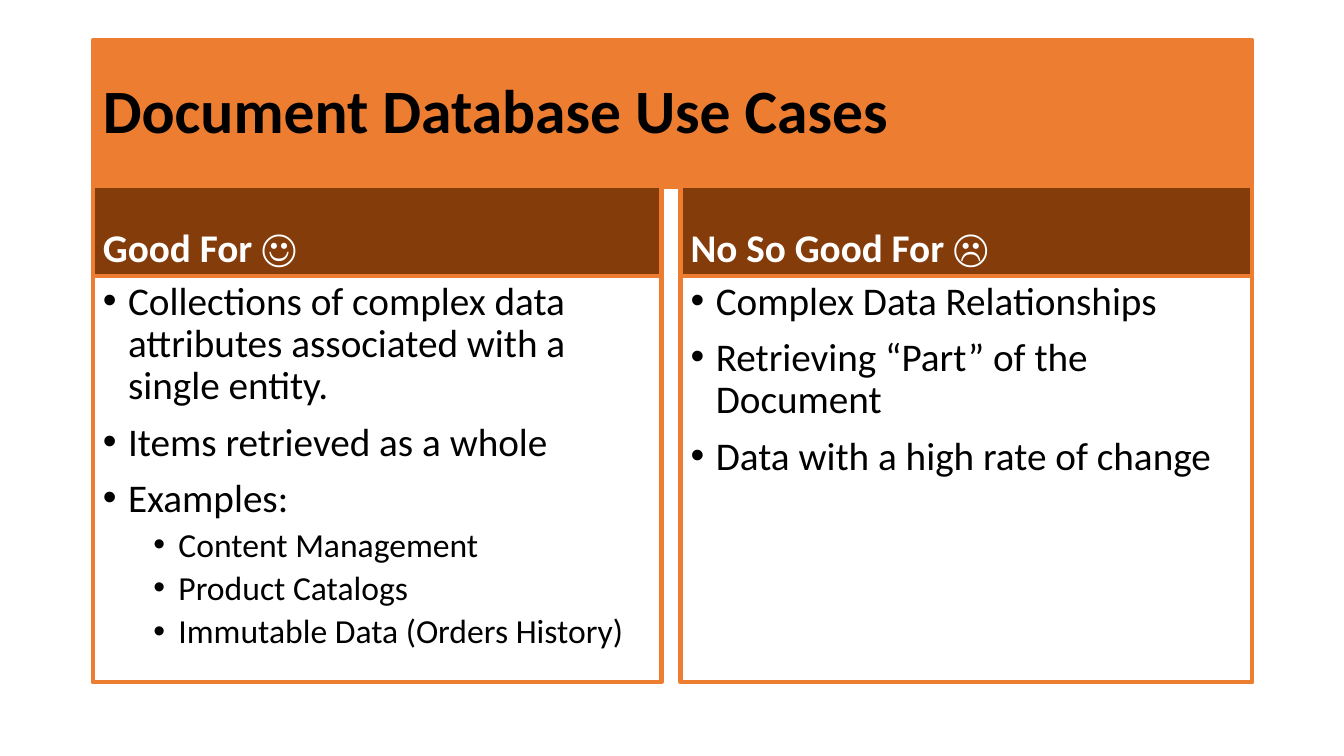
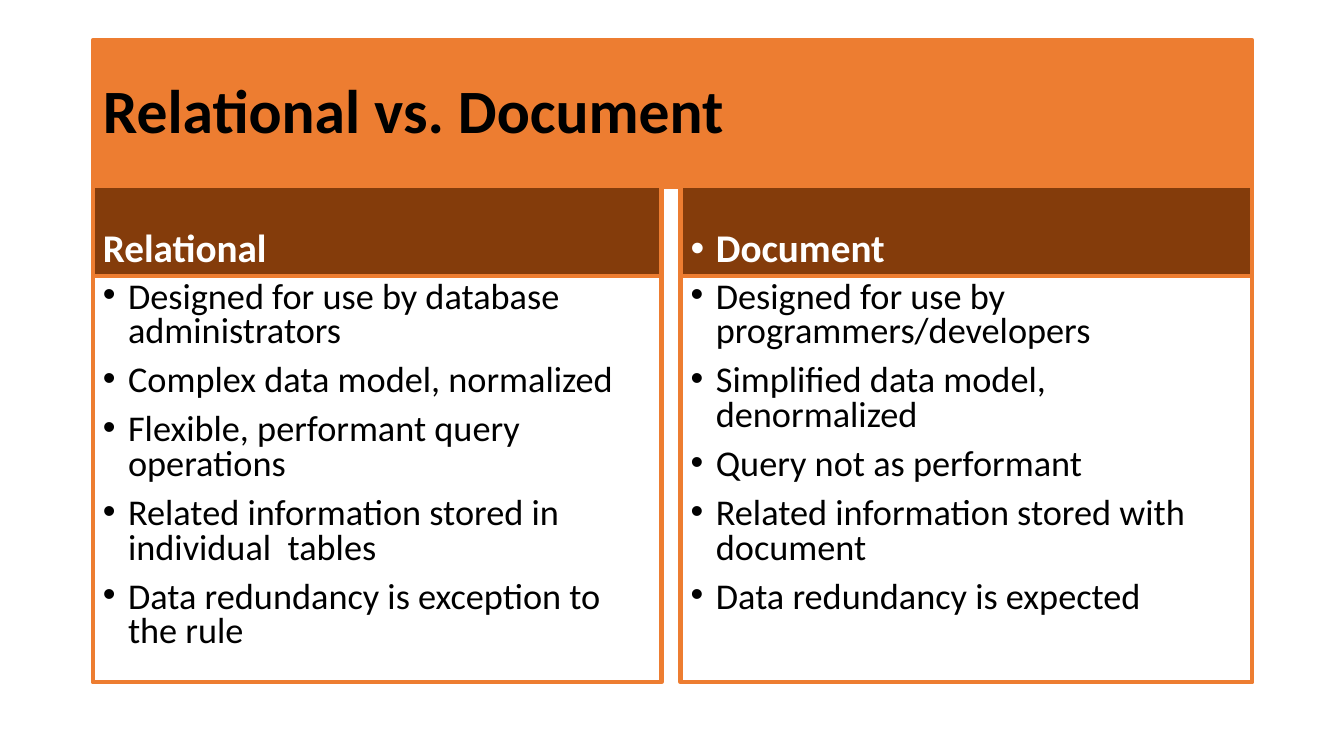
from lxml import etree
from pptx import Presentation
from pptx.dml.color import RGBColor
from pptx.enum.text import MSO_ANCHOR, MSO_AUTO_SIZE, PP_ALIGN
from pptx.oxml.ns import qn
from pptx.util import Inches, Pt

TOP, MIDDLE, BOTTOM = MSO_ANCHOR.TOP, MSO_ANCHOR.MIDDLE, MSO_ANCHOR.BOTTOM
LEFT = PP_ALIGN.LEFT
NO_FIT = MSO_AUTO_SIZE.NONE

FONT = "Calibri"
ORANGE, BROWN, BLACK, WHITE = "ED7D31", "843C0B", "000000", "FFFFFF"
COMPARISON_LAYOUT = 4

# Left edge and width of the title and of the two columns
TITLE_SPAN = (0.92, 11.5)
COLUMNS = [(0.92, 5.64), (6.75, 5.67)]


def rgb(value):
    return RGBColor.from_string(value)


def set_bullet(p, level, bullet):
    """Give a paragraph a hanging bullet, or none."""
    pPr = p._p.get_or_add_pPr()
    indent = Inches(0.25) if bullet else 0
    pPr.set("marL", str(Inches(0.5 * level) + indent))
    pPr.set("indent", str(-indent))
    if bullet:
        etree.SubElement(pPr, qn("a:buFont")).set("typeface", "Arial")
        etree.SubElement(pPr, qn("a:buChar")).set("char", "•")
    else:
        etree.SubElement(pPr, qn("a:buNone"))


def write(p, text, size=28, color=BLACK, bold=False, level=0, bullet=False,
          spacing=0.9, before=10):
    p.level = level
    p.alignment = LEFT
    p.line_spacing = spacing
    p.space_before = Pt(before)
    p.space_after = Pt(0)
    set_bullet(p, level, bullet)
    r = p.add_run()
    r.text = text
    r.font.name = FONT
    r.font.size = Pt(size)
    r.font.bold = bold
    r.font.color.rgb = rgb(color)


class Deck:
    """Holds the presentation, its style and the current slide."""

    def __init__(self):
        self.prs = Presentation()
        self.prs.slide_width = Inches(13.33)
        self.prs.slide_height = Inches(7.5)
        self.s = None

    def new_slide(self):
        layout = self.prs.slide_layouts[COMPARISON_LAYOUT]
        self.s = self.prs.slides.add_slide(layout)

    def panel(self, idx, span, top, height, anchor, fill=None):
        """Place and outline a placeholder; return its text frame."""
        sp = self.s.placeholders[idx]
        sp.left, sp.width = (Inches(v) for v in span)
        sp.top, sp.height = Inches(top), Inches(height)
        if fill:
            sp.fill.solid()
            sp.fill.fore_color.rgb = rgb(fill)
        else:
            sp.fill.background()
        sp.line.color.rgb = rgb(ORANGE)
        sp.line.width = Pt(3)
        tf = sp.text_frame
        tf.word_wrap = True
        tf.auto_size = NO_FIT
        tf.vertical_anchor = anchor
        return tf

    def title(self, text):
        tf = self.panel(0, TITLE_SPAN, 0.4, 1.45, MIDDLE, ORANGE)
        write(tf.paragraphs[0], text, size=44, bold=True, before=0)

    def heading(self, column, text, bullet=False):
        tf = self.panel(1 + 2 * column, COLUMNS[column], 1.84, 0.9, BOTTOM, BROWN)
        write(tf.paragraphs[0], text, color=WHITE, bold=True, bullet=bullet)

    def bullets(self, column, items, size=28, spacing=0.9):
        """List the items; a nested list becomes the second level."""
        tf = self.panel(2 + 2 * column, COLUMNS[column], 2.74, 4.03, TOP)
        lines = []
        for item in items:
            if isinstance(item, list):
                lines += [(text, dict(level=1, size=24, before=5)) for text in item]
            else:
                lines.append((item, dict(size=size)))
        for i, (text, style) in enumerate(lines):
            p = tf.add_paragraph() if i else tf.paragraphs[0]
            write(p, text, bullet=True, spacing=spacing, **style)


def main():
    deck = Deck()

    # Use cases
    deck.new_slide()
    deck.title("Document Database Use Cases")
    deck.heading(0, "Good For ☺")
    deck.bullets(0, [
        "Collections of complex data attributes associated with a single entity.",
        "Items retrieved as a whole",
        "Examples:",
        ["Content Management", "Product Catalogs",
         "Immutable Data (Orders History)"],
    ])
    deck.heading(1, "No So Good For ☹")
    deck.bullets(1, [
        "Complex Data Relationships",
        "Retrieving “Part” of the Document",
        "Data with a high rate of change",
    ])

    # Comparison, set tighter to fit the longer lists
    tight = dict(size=25.9, spacing=0.8)
    deck.new_slide()
    deck.title("Relational vs. Document")
    deck.heading(0, "Relational")
    deck.bullets(0, [
        "Designed for use by database administrators",
        "Complex data model, normalized",
        "Flexible, performant query operations",
        "Related information stored in individual  tables",
        "Data redundancy is exception to the rule",
    ], **tight)
    deck.heading(1, "Document", bullet=True)
    deck.bullets(1, [
        "Designed for use by programmers/developers",
        "Simplified data model, denormalized",
        "Query not as performant",
        "Related information stored with document",
        "Data redundancy is expected",
    ], **tight)

    deck.prs.save("out.pptx")


if __name__ == "__main__":
    main()
